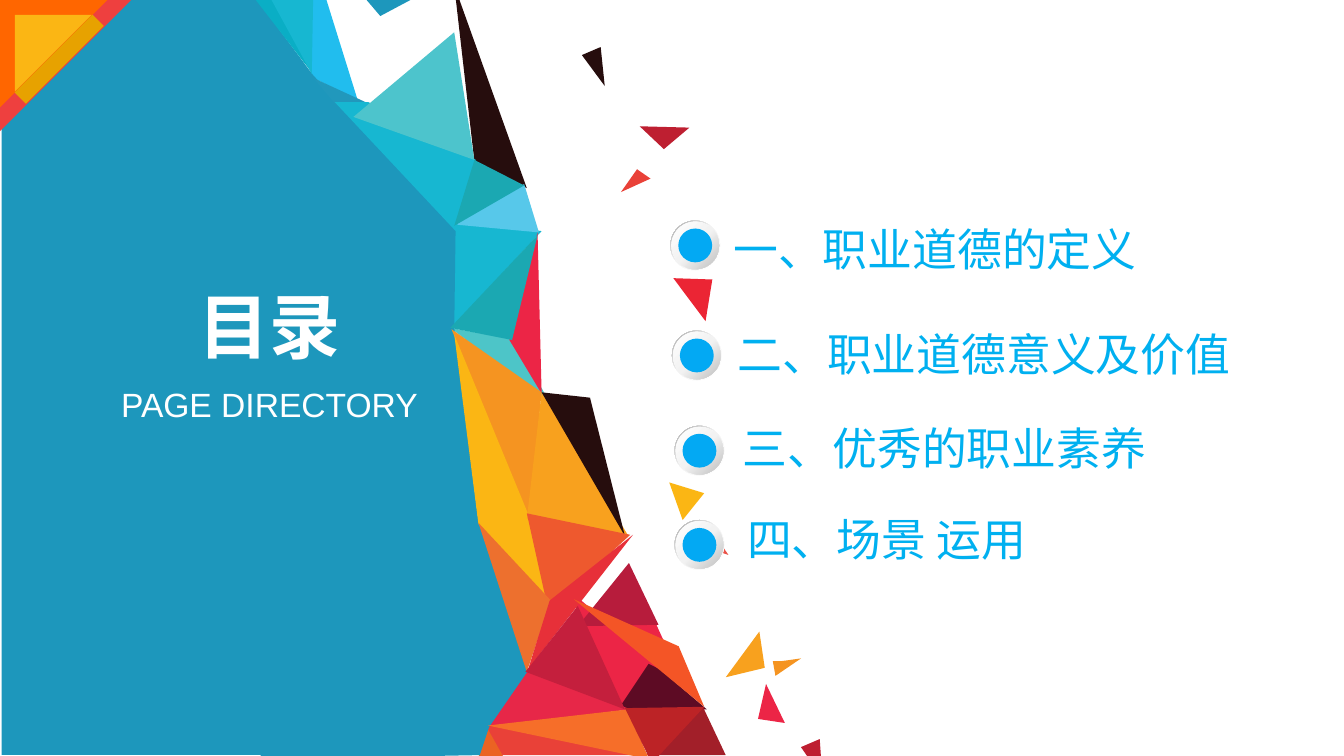
from lxml import etree
from pptx import Presentation
from pptx.dml.color import RGBColor
from pptx.enum.shapes import MSO_SHAPE
from pptx.enum.text import MSO_AUTO_SIZE, PP_ALIGN
from pptx.oxml import parse_xml
from pptx.oxml.ns import nsdecls, qn
from pptx.util import Cm, Pt

COLORS = {
    "panel": "1D97BC", "panel edge": "2198BC", "sky": "21BDEE", "pale blue": "57C8EA",
    "cyan": "17B7D1", "deep cyan": "0AAEC5", "mint": "4DC5C8", "pale mint": "4DC4CC",
    "teal": "1BA8B2", "black": "260D0D", "wine": "5D0B24", "maroon": "A21F29",
    "brick": "BC2326", "crimson": "BE1F31", "ruby": "C41F3D", "garnet": "B71C3C",
    "pink": "EC2546", "rose": "E72748", "red": "EB2534", "scarlet": "E73039",
    "coral": "E94138", "light coral": "EA5248", "corner red": "EE403F",
    "vermilion": "F45526", "rust": "EB6323", "copper": "ED702E", "flame": "EE592E",
    "tangerine": "F66E29", "orange": "F59421", "amber": "F8A11E", "yellow": "FBB614",
    "corner orange": "FF6600", "corner gold": "E7A200", "white": "FFFFFF",
    "item": "00B0F0", "dot": "03A9F3", "pearl": "F2F2F2", "silver": "BFBFBF", "grey": "A6A6A6",
}
FONT = "Arial"
CJK_FONT = "Noto Sans CJK SC"
FACET_UNIT = Cm(0.0254)

FACETS = [
    ("pink", [(422, 438), (464, 528), (490, 496)]),
    ("wine", [(460, 528), (526, 528), (484, 492)]),
    ("black", [(338, -11), (392, 140), (353, 120)]),
    ("maroon", [(523, 526), (540, 562), (483, 562)]),
    ("pink", [(425, 465), (507, 506), (488, 464)]),
    ("coral", [(357, 538), (369, 562), (487, 562)]),
    ("rose", [(394, 497), (361, 541), (469, 528)]),
    ("mint", [(335, 244), (384, 253), (409, 300)]),
    ("cyan", [(338, 163), (403, 172), (335, 245)]),
    ("pale blue", [(337, 167), (390, 137), (401, 173)]),
    ("rust", [(361, 539), (356, 564), (375, 564)]),
    ("sky", [(233, -5), (242, -3), (266, 74), (231, 57), (231, 26)]),
    ("panel", [(192, 1), (233, 56), (339, 171), (338, 244), (356, 388), (393, 499),
               (364, 541), (357, 562), (194, 565)]),
    ("deep cyan", [(188, -3), (203, -1), (232, 54)]),
    ("cyan", [(202, 0), (233, -1), (232, 55)]),
    ("panel edge", [(233, 58), (274, 77), (250, 78)]),
    ("cyan", [(274, 76), (354, 119), (339, 172), (249, 76)]),
    ("teal", [(353, 119), (390, 138), (338, 168)]),
    ("pink", [(400, 173), (379, 253), (403, 293)]),
    ("pale mint", [(338, 24), (353, 119), (263, 87)]),
    ("teal", [(400, 175), (381, 253), (335, 244)]),
    ("orange", [(336, 245), (403, 292), (394, 387)]),
    ("yellow", [(338, 249), (356, 390), (409, 449), (394, 385)]),
    ("amber", [(403, 292), (392, 386), (467, 398)]),
    ("black", [(403, 292), (439, 296), (465, 399)]),
    ("flame", [(392, 382), (408, 454), (469, 398)]),
    ("copper", [(356, 389), (410, 447), (392, 500)]),
    ("scarlet", [(409, 447), (471, 398), (393, 498)]),
    ("garnet", [(430, 466), (490, 465), (468, 419)]),
    ("ruby", [(430, 451), (465, 528), (391, 500)]),
    ("vermilion", [(427, 446), (524, 526), (505, 481)]),
    ("tangerine", [(363, 540), (467, 528), (483, 565)]),
    ("brick", [(465, 527), (524, 526), (485, 568)]),
]
SHARDS = [
    ("panel", [(271, -2), (283, 12), (313, -4)]),
    ("coral", [(474, 126), (462, 143), (484, 133)]),
    ("red", [(501, 207), (530, 208), (525, 239)]),
    ("crimson", [(476, 94), (513, 95), (494, 111)]),
    ("yellow", [(498, 359), (524, 367), (508, 387)]),
    ("amber", [(565, 470), (540, 504), (569, 497)]),
    ("pink", [(570, 509), (564, 535), (584, 538)]),
    ("orange", [(575, 492), (582, 492), (596, 490), (577, 503)]),
    ("light coral", [(533, 400), (542, 413), (530, 409)]),
    ("black", [(447, 35), (433, 41), (450, 64)]),
    ("crimson", [(610, 550), (596, 556), (612, 579)]),
]
ITEMS = [
    ("一、职业道德的定义", 12.67, 4.17, 13.61, 3.56, 1.5),
    ("二、职业道德意义及价值", 12.7, 6.25, 13.69, 5.54, 1.5),
    ("三、优秀的职业素养", 12.75, 8.05, 13.79, 7.32, 1.5),
    ("四、场景 运用", 12.75, 9.83, 13.87, 9.55, 1.0),
]


def rgb(color):
    return RGBColor.from_string(COLORS[color])


def paint(shape, color):
    shape.fill.solid()
    shape.fill.fore_color.rgb = rgb(color)
    shape.line.fill.background()
    shape.shadow.inherit = False


def paint_gradient(shape, stops, angle):
    paint(shape, "white")
    gradient = parse_xml(f'<a:gradFill {nsdecls("a")} rotWithShape="1"><a:gsLst/>'
                         f'<a:lin ang="{angle * 60000}" scaled="0"/></a:gradFill>')
    for position, color in stops:
        stop = etree.SubElement(gradient[0], qn("a:gs"), pos=str(position * 1000))
        etree.SubElement(stop, qn("a:srgbClr"), val=COLORS[color])
    solid = shape.element.spPr.find(qn("a:solidFill"))
    solid.getparent().replace(solid, gradient)


def add_part(shapes, preset, left, top, width, height, color, rotation=0):
    part = shapes.add_shape(preset, Cm(left), Cm(top), Cm(width), Cm(height))
    part.rotation = rotation
    paint(part, color)
    return part


def add_label(slide, left, top, width, height, text, size, color, font=FONT,
              bold=False, align=PP_ALIGN.LEFT, spacing=1.0, wrap=True):
    label = slide.shapes.add_textbox(Cm(left), Cm(top), Cm(width), Cm(height))
    frame = label.text_frame
    frame.word_wrap = wrap
    frame.auto_size = MSO_AUTO_SIZE.SHAPE_TO_FIT_TEXT
    paragraph = frame.paragraphs[0]
    paragraph.alignment = align
    paragraph.line_spacing = spacing
    run = paragraph.add_run()
    run.text = text
    run.font.size = Pt(size)
    run.font.bold = bold
    run.font.name = font
    run.font.color.rgb = rgb(color)
    if font == CJK_FONT:
        etree.SubElement(run.font._element, qn("a:ea"), typeface=font)


def draw_polygons(slide, left, top, polygons):
    for color, points in polygons:
        builder = slide.shapes.build_freeform(*points[0], scale=FACET_UNIT)
        builder.add_line_segments(points[1:], close=True)
        paint(builder.convert_to_shape(Cm(left), Cm(top)), color)


def draw_corner(slide, left, top):
    for inset, size, color in [(0, 2.48, "corner red"), (0, 2.03, "corner orange"),
                               (0.28, 1.45, "yellow")]:
        add_part(slide.shapes, MSO_SHAPE.RIGHT_TRIANGLE, left + inset, top + inset,
                 size, size, color, 90)
    add_part(slide.shapes, MSO_SHAPE.RECTANGLE, left + 0.97, top + 0.08,
             0.3, 2.08, "corner gold", 45)


def draw_title(slide, left, top, width):
    add_label(slide, left, top, width, 1.88, "目录", 38, "white",
              bold=True, align=PP_ALIGN.CENTER, wrap=False)
    add_label(slide, left, top + 1.93, width, 1.02, "PAGE DIRECTORY", 18, "white",
              align=PP_ALIGN.CENTER, wrap=False)


def draw_button(slide, left, top):
    shapes = slide.shapes.add_group_shape().shapes
    rim = add_part(shapes, MSO_SHAPE.DONUT, left, top, 0.94, 0.94, "white")
    rim.adjustments[0] = 0.049
    paint_gradient(rim, [(0, "white"), (55, "pearl"), (100, "grey")], 225)
    face = add_part(shapes, MSO_SHAPE.OVAL, left + 0.02, top + 0.02, 0.9, 0.9, "white")
    paint_gradient(face, [(0, "white"), (51, "pearl"), (100, "silver")], 45)
    add_part(shapes, MSO_SHAPE.OVAL, left + 0.15, top + 0.15, 0.64, 0.64, "dot")


def draw_contents(slide, items):
    for text, button_left, button_top, text_left, text_top, spacing in items:
        draw_button(slide, button_left, button_top)
        add_label(slide, text_left, text_top, 11.4, 1.8, text, 24, "item",
                  font=CJK_FONT, spacing=spacing)


def main():
    deck = Presentation()
    deck.slide_width, deck.slide_height = Cm(25.4), Cm(14.29)
    slide = deck.slides.add_slide(deck.slide_layouts[6])
    add_part(slide.shapes, MSO_SHAPE.RECTANGLE, 0.03, -0.03, 5.23, 14.3, "panel")
    draw_polygons(slide, 0, 0, FACETS + SHARDS)
    draw_corner(slide, 0, 0)
    draw_title(slide, 2.01, 5.21, 6.17)
    draw_contents(slide, ITEMS)
    deck.save("out.pptx")


if __name__ == "__main__":
    main()
